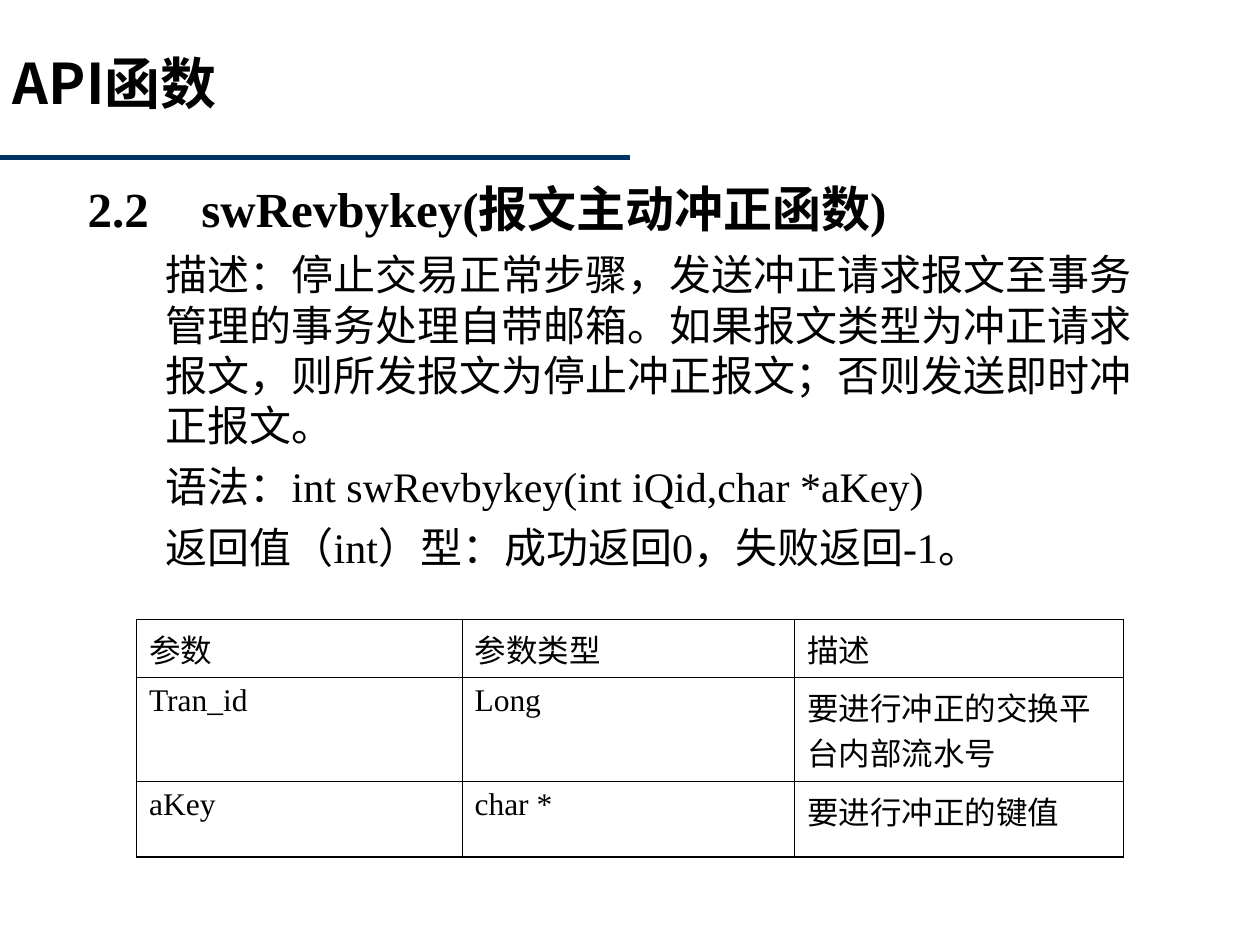
import pptx
import pptx.dml.color
import pptx.enum.shapes
import pptx.enum.text
import pptx.oxml
import pptx.oxml.ns
import pptx.util
from pptx.util import Pt

SANS, SERIF = "Noto Sans CJK SC", "Times New Roman"
BLACK, NAVY = "000000", "003366"

TITLE = "API函数"
HEADING = "2.2\tswRevbykey(报文主动冲正函数)"
DETAILS = [
    "描述：停止交易正常步骤，发送冲正请求报文至事务管理的事务处理自带邮箱。"
    "如果报文类型为冲正请求报文，则所发报文为停止冲正报文；否则发送即时冲正报文。",
    "语法：int swRevbykey(int iQid,char *aKey)",
    "返回值（int）型：成功返回0，失败返回-1。",
]
PARAMETERS = [
    ("参数", "参数类型", "描述"),
    ("Tran_id", "Long", "要进行冲正的交换平台内部流水号"),
    ("aKey", "char *", "要进行冲正的键值"),
]
COLUMN_WIDTHS = (186, 190, 188)
ROW_HEIGHTS = (33, 59.5, 43.3)
OUTER_LINE, INNER_LINE = 1.08, 0.45


def rgb(code):
    return pptx.dml.color.RGBColor.from_string(code)


def apply(target, values):
    for name, value in values.items():
        setattr(target, name, value)


def write(paragraph, text, size, latin=SERIF, bold=False, **spacing):
    paragraph.text = text
    apply(paragraph, {"alignment": pptx.enum.text.PP_ALIGN.LEFT, **spacing})
    for run in paragraph.runs:
        apply(run.font, {"name": latin, "size": Pt(size), "bold": bold})
        run.font.color.rgb = rgb(BLACK)
        east_asian = pptx.oxml.parse_xml(
            f'<a:ea {pptx.oxml.ns.nsdecls("a")} typeface="{SANS}"/>')
        run.font._element.find(pptx.oxml.ns.qn("a:latin")).addnext(east_asian)


def indent(paragraph, left, first=0, tab=None):
    properties = paragraph._p.get_or_add_pPr()
    properties.set("marL", str(Pt(left)))
    properties.set("indent", str(Pt(first)))
    if tab:
        properties.append(pptx.oxml.parse_xml(
            f'<a:tabLst {pptx.oxml.ns.nsdecls("a")}>'
            f'<a:tab pos="{Pt(tab)}" algn="l"/></a:tabLst>'))


def add_border(cell, side, width):
    cell._tc.get_or_add_tcPr().append(pptx.oxml.parse_xml(
        f'<a:ln{side} {pptx.oxml.ns.nsdecls("a")} w="{Pt(width)}">'
        f'<a:solidFill><a:srgbClr val="{BLACK}"/></a:solidFill></a:ln{side}>'))


def add_title(slide):
    title = slide.shapes.title
    apply(title, {"left": Pt(-36), "top": Pt(24), "width": Pt(582), "height": Pt(90)})
    apply(title.text_frame, {
        "word_wrap": True, "margin_left": Pt(43.4),
        "vertical_anchor": pptx.enum.text.MSO_ANCHOR.TOP,
        "auto_size": pptx.enum.text.MSO_AUTO_SIZE.NONE})
    write(title.text_frame.paragraphs[0], TITLE, 32, SANS, True)


def add_rule(slide):
    rule = slide.shapes.add_connector(
        pptx.enum.shapes.MSO_CONNECTOR.STRAIGHT, Pt(0), Pt(90), Pt(360), Pt(90))
    rule.line.color.rgb = rgb(NAVY)
    rule.line.width = Pt(3)
    rule._element.spPr.append(
        pptx.oxml.parse_xml(f'<a:effectLst {pptx.oxml.ns.nsdecls("a")}/>'))


def add_description(slide):
    frame = slide.shapes.add_textbox(Pt(36), Pt(102.4), Pt(636), Pt(294)).text_frame
    frame.word_wrap = True
    heading = frame.paragraphs[0]
    indent(heading, 0, first=7, tab=53.5)
    write(heading, HEADING, 28, bold=True, line_spacing=0.9)
    for text in DETAILS:
        detail = frame.add_paragraph()
        indent(detail, 51.6)
        write(detail, text, 24, line_spacing=1.0, space_before=Pt(6))


def add_parameters(slide):
    rows, columns = len(PARAMETERS), len(PARAMETERS[0])
    table = slide.shapes.add_table(
        rows, columns, Pt(78), Pt(354),
        Pt(sum(COLUMN_WIDTHS)), Pt(sum(ROW_HEIGHTS))).table
    apply(table, {"first_row": False, "horz_banding": False})
    for column, width in zip(table.columns, COLUMN_WIDTHS):
        column.width = Pt(width)
    for row, height in zip(table.rows, ROW_HEIGHTS):
        row.height = Pt(height)
    for r, values in enumerate(PARAMETERS):
        for c, value in enumerate(values):
            cell = table.cell(r, c)
            write(cell.text_frame.paragraphs[0], value, 18)
            outer = {"L": c == 0, "R": c == columns - 1,
                     "T": r == 0, "B": r == rows - 1}
            for side, is_outer in outer.items():
                add_border(cell, side, OUTER_LINE if is_outer else INNER_LINE)
            cell.fill.background()


def main():
    presentation = pptx.Presentation()
    apply(presentation, {"slide_width": Pt(720), "slide_height": Pt(540)})
    slide = presentation.slides.add_slide(
        presentation.slide_layouts.get_by_name("Title Only"))
    add_rule(slide)
    add_title(slide)
    add_description(slide)
    add_parameters(slide)
    presentation.save("out.pptx")


if __name__ == "__main__":
    main()
